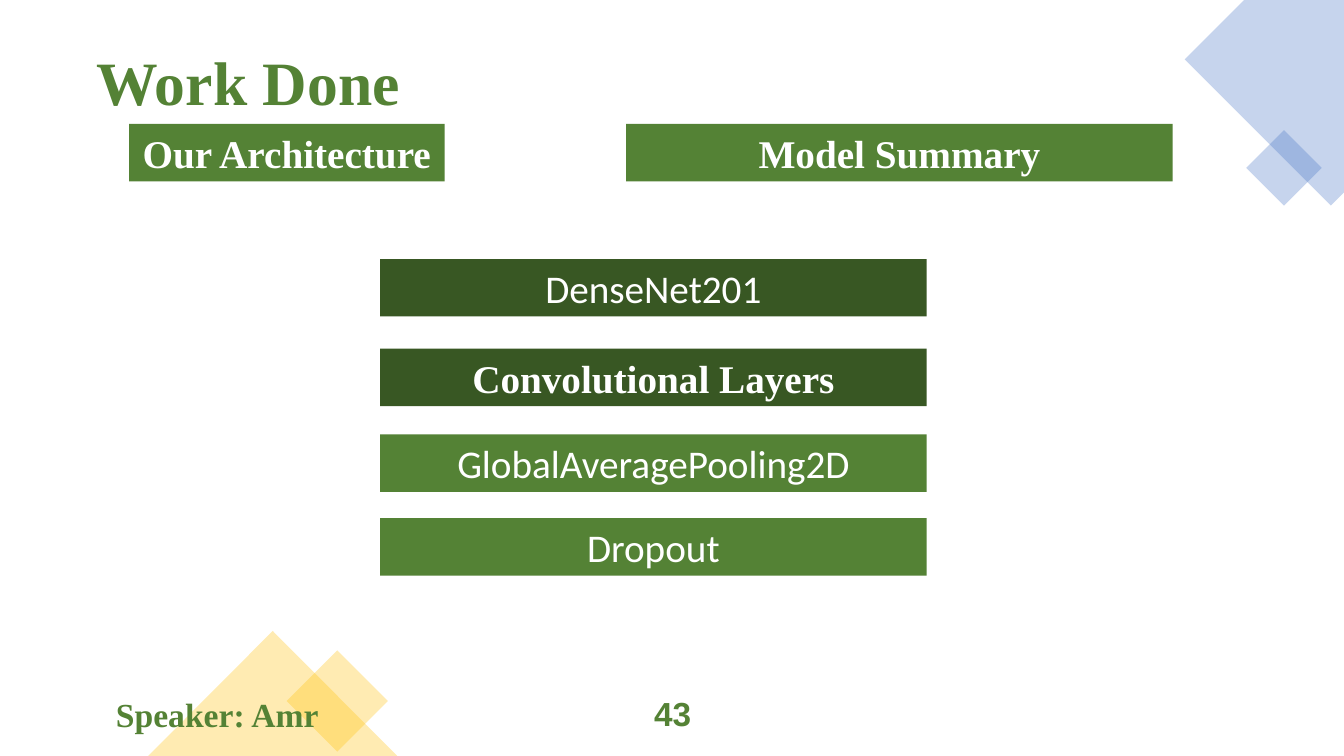
from pptx import Presentation
from pptx.dml.color import RGBColor
from pptx.enum.shapes import MSO_SHAPE
from pptx.enum.text import MSO_ANCHOR, MSO_AUTO_SIZE, PP_ALIGN
from pptx.oxml.ns import qn
from pptx.util import Inches, Pt
from lxml import etree

COLORS = {"green": "548235", "dark": "385723", "white": "FFFFFF",
          "blue": "4472C4", "gold": "FFC000"}
SERIF, SANS, BODY = "Times New Roman", "Arial", "Calibri"
BAR_HEIGHT = 0.57
WIDE = 5.42
LAYER_LEFT = 3.77

TITLE = "Work Done"
# text, left, top, width, fill, font, bold
BARS = [
    ("Our Architecture", 1.28, 1.23, 3.13, "green", SERIF, True),
    ("Model Summary", 6.21, 1.23, WIDE, "green", SERIF, True),
    ("DenseNet201", LAYER_LEFT, 2.57, WIDE, "dark", BODY, False),
    ("Convolutional Layers", LAYER_LEFT, 3.46, WIDE, "dark", SERIF, True),
    ("GlobalAveragePooling2D", LAYER_LEFT, 4.31, WIDE, "green", BODY, False),
    ("Dropout", LAYER_LEFT, 5.14, WIDE, "green", BODY, False),
]
# text, left, width, font, size
FOOTERS = [("Speaker: Amr", 0.47, 3.37, SERIF, 24),
           ("43", 4.98, 3.38, SANS, 23.8)]
# preset, left, top, width, height, rotation, colour
DECORATIONS = [
    (MSO_SHAPE.RECTANGLE, 12.47, 1.4, 0.53, 0.53, 315, "blue"),
    (MSO_SHAPE.RECTANGLE, 2.99, 6.6, 0.71, 0.71, 45, "gold"),
    (MSO_SHAPE.ISOSCELES_TRIANGLE, 1.47, 6.26, 2.47, 1.24, 0, "gold"),
]
CORNER = [(13.33, 0), (12.34, 0), (11.75, 0.59), (13.2, 2.04), (13.33, 1.91)]


def color(name):
    return RGBColor.from_string(COLORS[name])


def paint(shape, fill, opacity=None):
    shape.shadow.inherit = False
    shape.fill.solid()
    shape.fill.fore_color.rgb = color(fill)
    shape.line.fill.background()
    if opacity is not None:
        tint = shape.fill._xPr.find(qn("a:solidFill"))[0]
        etree.SubElement(tint, qn("a:alpha")).set("val", str(opacity * 1000))


def write(shape, text, font, size, ink, bold=True, align=PP_ALIGN.CENTER,
          anchor=MSO_ANCHOR.TOP):
    frame = shape.text_frame
    frame.word_wrap = True
    frame.auto_size = MSO_AUTO_SIZE.NONE
    frame.vertical_anchor = anchor
    paragraph = frame.paragraphs[0]
    paragraph.alignment = align
    run = paragraph.add_run()
    run.text = text
    run.font.name, run.font.size, run.font.bold = font, Pt(size), bold
    run.font.color.rgb = color(ink)
    return frame


def place(shape, *box):
    shape.left, shape.top, shape.width, shape.height = map(Inches, box)


def main():
    presentation = Presentation()
    presentation.slide_width = Inches(13.33)
    presentation.slide_height = Inches(7.5)
    slide = presentation.slides.add_slide(presentation.slide_layouts[5])
    shapes = slide.shapes

    place(shapes.title, 0.86, 0.39, 4.12, 0.84)
    write(shapes.title, TITLE, SERIF, 44, "green", align=PP_ALIGN.LEFT)

    points = [(Inches(x), Inches(y)) for x, y in CORNER]
    builder = shapes.build_freeform(*points[0])
    builder.add_line_segments(points[1:], close=True)
    paint(builder.convert_to_shape(), "blue", 30)

    for preset, left, top, width, height, rotation, fill in DECORATIONS:
        shape = shapes.add_shape(preset, *map(Inches, (left, top, width, height)))
        shape.rotation = rotation
        paint(shape, fill, 30)

    for text, left, width, font, size in FOOTERS:
        box = shapes.add_textbox(*map(Inches, (left, 6.88, width, 0.4)))
        frame = write(box, text, font, size, "green")
        frame.margin_left = frame.margin_right = 0
        frame.margin_top = frame.margin_bottom = 0

    for text, left, top, width, fill, font, bold in BARS:
        bar = shapes.add_shape(MSO_SHAPE.RECTANGLE,
                               *map(Inches, (left, top, width, BAR_HEIGHT)))
        paint(bar, fill)
        write(bar, text, font, 28, "white", bold, anchor=MSO_ANCHOR.MIDDLE)

    presentation.save("out.pptx")


if __name__ == "__main__":
    main()
